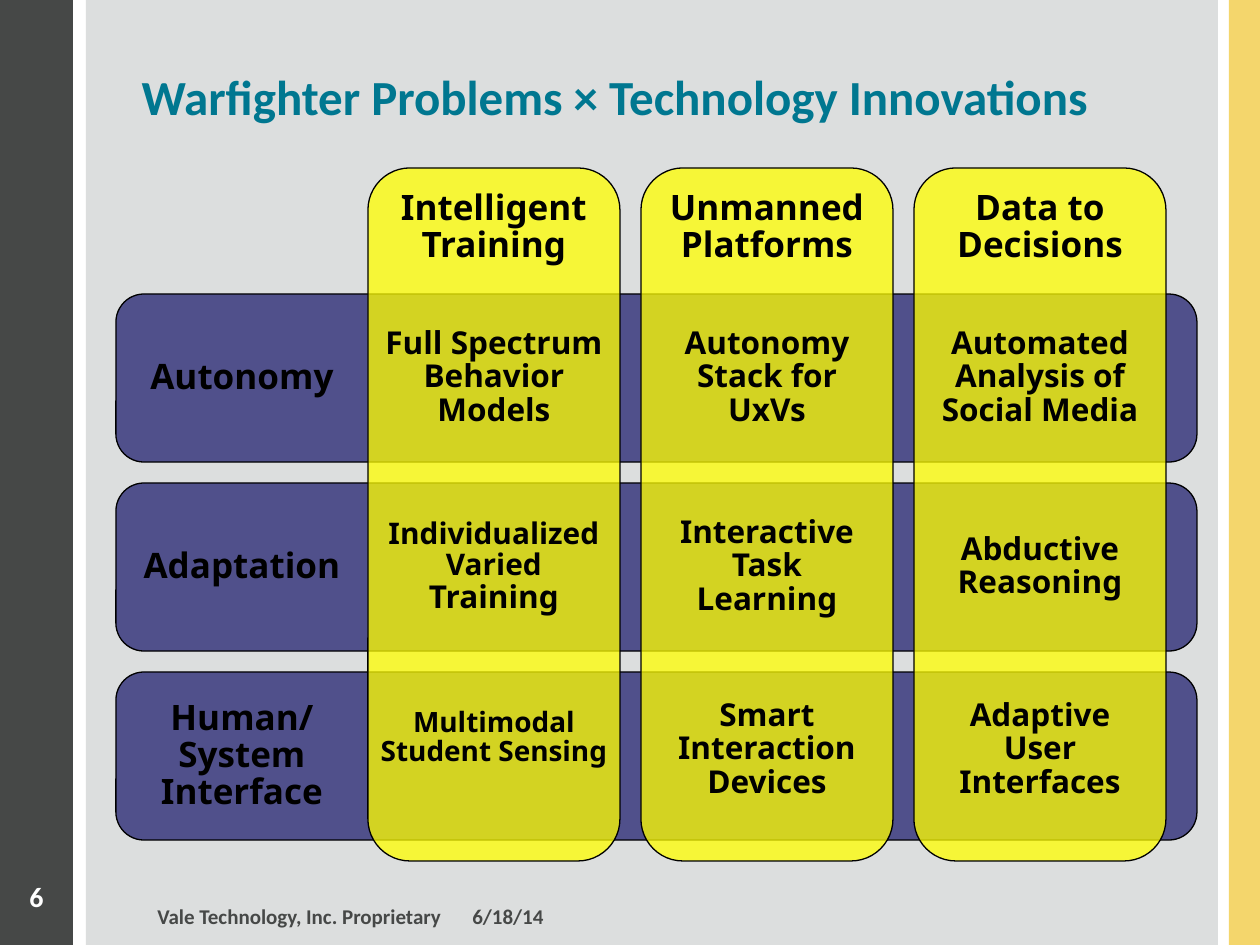
from dataclasses import dataclass

from lxml.etree import SubElement
from pptx import Presentation
from pptx.dml.color import RGBColor
from pptx.enum.shapes import MSO_SHAPE as Shape
from pptx.enum.text import MSO_ANCHOR as Anchor, MSO_AUTO_SIZE as AutoSize, PP_ALIGN as Align
from pptx.oxml.ns import qn
from pptx.util import Pt

TITLE = "Warfighter Problems × Technology Innovations"
FOOTER = "Vale Technology, Inc. Proprietary\t6/18/14"
PAGE_NUMBER = "6"
PROBLEMS = ["Intelligent\nTraining", "Unmanned\nPlatforms", "Data to\nDecisions"]
INNOVATIONS = ["Autonomy", "Adaptation", "Human/System\nInterface"]
CELLS = [
    ["Full Spectrum Behavior Models", "Autonomy\nStack for\nUxVs",
     "Automated\nAnalysis of\nSocial Media"],
    ["Individualized\nVaried\nTraining", "Interactive\nTask\nLearning",
     "Abductive\nReasoning"],
    ["Multimodal\nStudent Sensing", "Smart\nInteraction\nDevices",
     "Adaptive\nUser\nInterfaces"],
]


@dataclass(frozen=True)
class Theme:
    dark: str = "464847"
    gold: str = "F4D66C"
    panel: str = "DCDEDE"
    title: str = "007790"
    band: str = "262673"
    column: str = "FFFF00"
    black: str = "000000"
    white: str = "FFFFFF"
    body_font: str = "Noto Sans"
    frame_font: str = "Calibri"
    title_size: int = 28
    heading_size: int = 20
    cell_size: int = 18
    number_size: int = 16
    footer_size: int = 12


THEME = Theme()
SPECIAL_SIZES = {(1, 0): 17, (2, 0): 16}  # (row, column) of the long cells
LAST_LINE_SIZES = {(1, 0): 18}
CELL_SHIFTS = {(2, 0): -18, (2, 1): -6, (2, 2): -6}

EMU_PER_PX = 914400 / 126
BAND_LEFT, BAND_TOP, BAND_WIDTH, BAND_HEIGHT, BAND_PITCH = 116, 294, 1081, 168, 189
COLUMN_LEFT, COLUMN_TOP, COLUMN_WIDTH, COLUMN_HEIGHT, COLUMN_PITCH = 368, 168, 252, 693, 273
HEADER_HEIGHT = 120


def px(*lengths):
    return [round(length * EMU_PER_PX) for length in lengths]


def add_block(page, preset, place, color, opacity=100, outlined=False):
    block = page.shapes.add_shape(preset, *px(*place))
    block.shadow.inherit = False
    block.fill.solid()
    block.fill.fore_color.rgb = RGBColor.from_string(color)
    if opacity < 100:
        tint = block.fill._xPr.find(f"{qn('a:solidFill')}/{qn('a:srgbClr')}")
        SubElement(tint, qn("a:alpha"), val=str(opacity * 1000))
    if outlined:
        block.line.color.rgb = RGBColor.from_string(THEME.black)
        block.line.width = Pt(0.75)
    else:
        block.line.fill.background()


def write(box, text, size, color, font=THEME.frame_font, align=Align.LEFT,
          anchor=Anchor.MIDDLE):
    frame = box.text_frame
    frame.word_wrap = True
    frame.auto_size = AutoSize.NONE
    frame.vertical_anchor = anchor
    para = frame.paragraphs[0]
    para.text = text
    para.alignment = align
    para.font.name = font
    para.font.size = Pt(size)
    para.font.bold = True
    para.font.color.rgb = RGBColor.from_string(color)
    return para


def add_label(page, text, place, size):
    """Centre bold matrix text in a box with narrow side margins."""
    box = page.shapes.add_textbox(*px(*place))
    box.text_frame.margin_left, box.text_frame.margin_right = px(6, 6)
    para = write(box, text, size, THEME.black, THEME.body_font, Align.CENTER)
    para.line_spacing = 0.88
    return para


def add_frame(page):
    """Side bars, panel, title, footer and page number."""
    add_block(page, Shape.RECTANGLE, (0, 0, 73, 945), THEME.dark)
    add_block(page, Shape.RECTANGLE, (1229, 0, 31, 945), THEME.gold)
    add_block(page, Shape.RECTANGLE, (86, 0, 1132, 945), THEME.panel)

    title = page.shapes.title
    page.shapes._spTree.append(title._element)  # in front of the panel
    title.left, title.top, title.width, title.height = px(129, 55, 1045, 81)
    write(title, TITLE, THEME.title_size, THEME.title)

    footer = page.shapes.add_textbox(*px(145, 895, 1018, 42))
    write(footer, FOOTER, THEME.footer_size, THEME.dark)
    number = page.shapes.add_textbox(*px(0, 873, 73, 63))
    write(number, PAGE_NUMBER, THEME.number_size, THEME.white,
          align=Align.CENTER, anchor=Anchor.TOP)


def add_matrix(page):
    band_tops = [BAND_TOP + row * BAND_PITCH for row in range(len(INNOVATIONS))]
    column_lefts = [COLUMN_LEFT + col * COLUMN_PITCH for col in range(len(PROBLEMS))]

    for top in band_tops:
        add_block(page, Shape.ROUNDED_RECTANGLE,
                  (BAND_LEFT, top, BAND_WIDTH, BAND_HEIGHT), THEME.band, 77, True)
    for left in column_lefts:
        add_block(page, Shape.ROUNDED_RECTANGLE,
                  (left, COLUMN_TOP, COLUMN_WIDTH, COLUMN_HEIGHT), THEME.column, 75, True)

    for left, problem in zip(column_lefts, PROBLEMS):
        add_label(page, problem, (left, COLUMN_TOP, COLUMN_WIDTH, HEADER_HEIGHT),
                  THEME.heading_size)
    for row, (top, innovation) in enumerate(zip(band_tops, INNOVATIONS)):
        add_label(page, innovation, (BAND_LEFT, top, COLUMN_WIDTH, BAND_HEIGHT),
                  THEME.heading_size)
        for col, (left, text) in enumerate(zip(column_lefts, CELLS[row])):
            cell = (row, col)
            place = (left, top + CELL_SHIFTS.get(cell, 0), COLUMN_WIDTH, BAND_HEIGHT)
            para = add_label(page, text, place, SPECIAL_SIZES.get(cell, THEME.cell_size))
            if cell in LAST_LINE_SIZES:
                para.runs[-1].font.size = Pt(LAST_LINE_SIZES[cell])


def main():
    deck = Presentation()
    deck.slide_width, deck.slide_height = px(1260, 945)
    page = deck.slides.add_slide(deck.slide_layouts[5])
    add_frame(page)
    add_matrix(page)
    deck.save("out.pptx")


if __name__ == "__main__":
    main()
